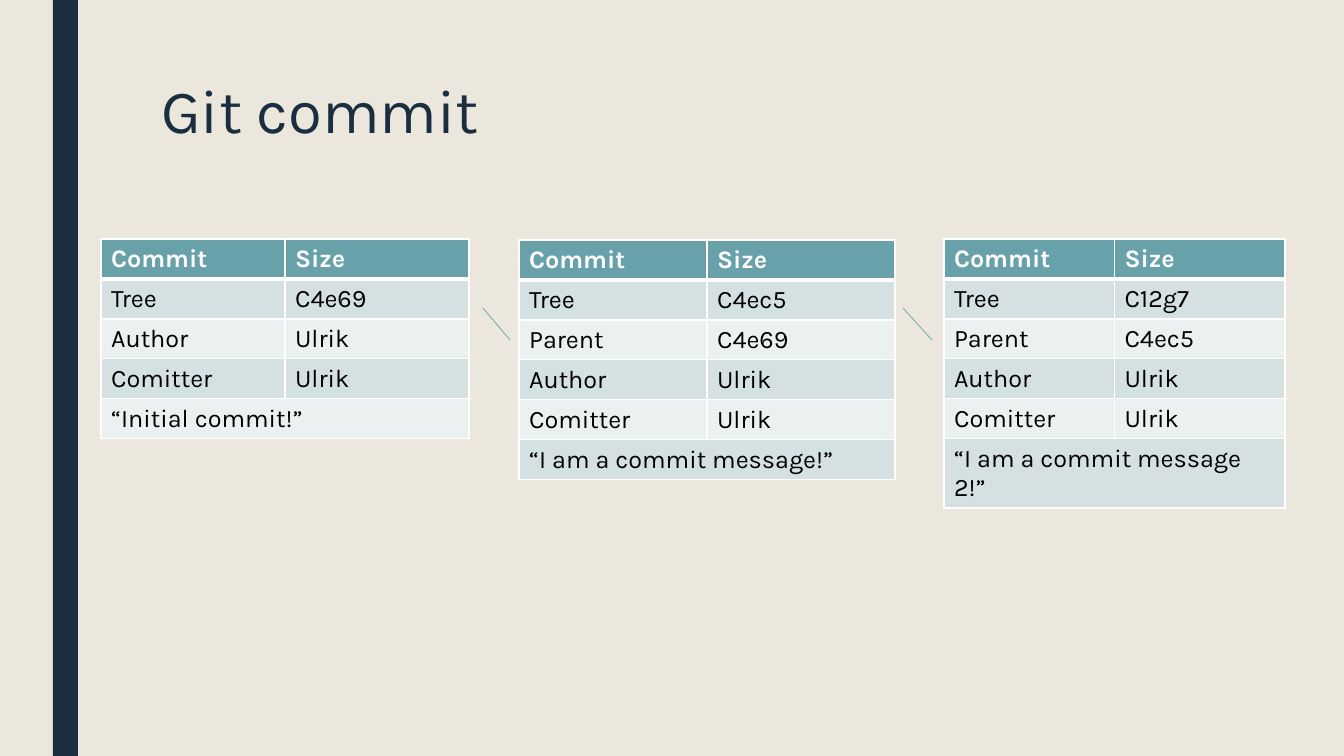
import dataclasses

import lxml.etree
import pptx
import pptx.dml.color
import pptx.enum.shapes
import pptx.enum.text
import pptx.oxml.ns
import pptx.util

EMU_PER_PX = 914400 / 100.8
SLIDE_W, SLIDE_H = 1344, 756
ROW_H = 40


@dataclasses.dataclass(frozen=True)
class Theme:
    font: str = "Karla"
    background: str = "EBE7DD"
    navy: str = "1A2E40"
    teal: str = "69A1AB"
    bands: tuple = ("D4E0E2", "EBF0F1")
    white: str = "FFFFFF"
    black: str = "000000"
    title_size: int = 44
    table_size: int = 18
    rule: float = 1
    header_rule: float = 3
    link: float = 0.5


THEME = Theme()

# box (left, top, width), rows between header and message, message
COMMITS = [
    ((101, 239, 368),
     [("Tree", "C4e69"), ("Author", "Ulrik"), ("Comitter", "Ulrik")],
     "“Initial commit!”"),
    ((519, 240, 376),
     [("Tree", "C4ec5"), ("Parent", "C4e69"), ("Author", "Ulrik"), ("Comitter", "Ulrik")],
     "“I am a commit message!”"),
    ((944, 239, 341),
     [("Tree", "C12g7"), ("Parent", "C4ec5"), ("Author", "Ulrik"), ("Comitter", "Ulrik")],
     "“I am a commit message 2!”"),
]
PARENT_LINKS = [(483, 308, 27, 32), (903, 308, 29, 32)]


def px(n):
    return pptx.util.Emu(round(n * EMU_PER_PX))


def rgb(color):
    return pptx.dml.color.RGBColor.from_string(color)


def paint(fill, color):
    fill.solid()
    fill.fore_color.rgb = rgb(color)


def write(tf, text, *, size, color, bold=False, line_spacing=None):
    p = tf.paragraphs[0]
    if line_spacing:
        p.line_spacing = line_spacing
    r = p.add_run()
    r.text = text
    r.font.name = THEME.font
    r.font.size = pptx.util.Pt(size)
    r.font.bold = bold
    r.font.color.rgb = rgb(color)


def set_borders(cell, **widths):
    """Draw white borders; widths in points are keyed L, R, T, B."""
    tc_pr = cell._tc.get_or_add_tcPr()
    qn = pptx.oxml.ns.qn
    for i, side in enumerate("LRTB"):
        width = pptx.util.Pt(widths.get(side, THEME.rule))
        ln = lxml.etree.Element(qn(f"a:ln{side}"), w=str(int(width)))
        fill = lxml.etree.SubElement(ln, qn("a:solidFill"))
        lxml.etree.SubElement(fill, qn("a:srgbClr"), val=THEME.white)
        tc_pr.insert(i, ln)


def add_side_bar(s, box):
    bar = s.shapes.add_shape(pptx.enum.shapes.MSO_SHAPE.RECTANGLE, *map(px, box))
    bar.shadow.inherit = False
    paint(bar.fill, THEME.navy)
    bar.line.fill.background()


def add_title(s, box, text):
    sp = s.shapes.title
    sp.left, sp.top, sp.width, sp.height = map(px, box)
    tf = sp.text_frame
    tf.word_wrap = True
    tf.auto_size = pptx.enum.text.MSO_AUTO_SIZE.NONE
    tf.vertical_anchor = pptx.enum.text.MSO_ANCHOR.TOP
    tf.paragraphs[0].alignment = pptx.enum.text.PP_ALIGN.LEFT
    write(tf, text, size=THEME.title_size, color=THEME.navy, line_spacing=0.89)


def add_commit_table(s, box, fields, message):
    left, top, width = box
    rows = [("Commit", "Size"), *fields, (message, "")]
    frame = s.shapes.add_table(len(rows), 2, px(left), px(top),
                               px(width), px(ROW_H * len(rows)))
    table = frame.table
    for column in table.columns:
        column.width = px(width / 2)
    for i, texts in enumerate(rows):
        header = i == 0
        table.rows[i].height = px(ROW_H)
        for j, text in enumerate(texts):
            cell = table.cell(i, j)
            paint(cell.fill, THEME.teal if header else THEME.bands[(i - 1) % 2])
            set_borders(cell, T=THEME.header_rule if i == 1 else THEME.rule,
                        B=THEME.header_rule if header else THEME.rule)
            if text:
                write(cell.text_frame, text, size=THEME.table_size, bold=header,
                      color=THEME.white if header else THEME.black)
    table.cell(len(rows) - 1, 0).merge(table.cell(len(rows) - 1, 1))


def add_parent_link(s, box):
    """Run a line from the box's bottom right corner to its top left."""
    left, top, width, height = box
    line = s.shapes.add_connector(pptx.enum.shapes.MSO_CONNECTOR.STRAIGHT,
                                  px(left + width), px(top + height), px(left), px(top))
    line.line.color.rgb = rgb(THEME.teal)
    line.line.width = pptx.util.Pt(THEME.link)
    lxml.etree.SubElement(line._element.spPr, pptx.oxml.ns.qn("a:effectLst"))


def add_commit_slide(prs):
    s = prs.slides.add_slide(prs.slide_layouts.get_by_name("Title Only"))
    paint(s.background.fill, THEME.background)
    add_side_bar(s, (53, 0, 25, SLIDE_H))
    add_title(s, (151, 76, 1058, 163), "Git commit")
    for box, fields, message in COMMITS:
        add_commit_table(s, box, fields, message)
    for box in PARENT_LINKS:
        add_parent_link(s, box)


def main():
    prs = pptx.Presentation()
    prs.slide_width, prs.slide_height = px(SLIDE_W), px(SLIDE_H)
    add_commit_slide(prs)
    prs.save("out.pptx")


if __name__ == "__main__":
    main()
